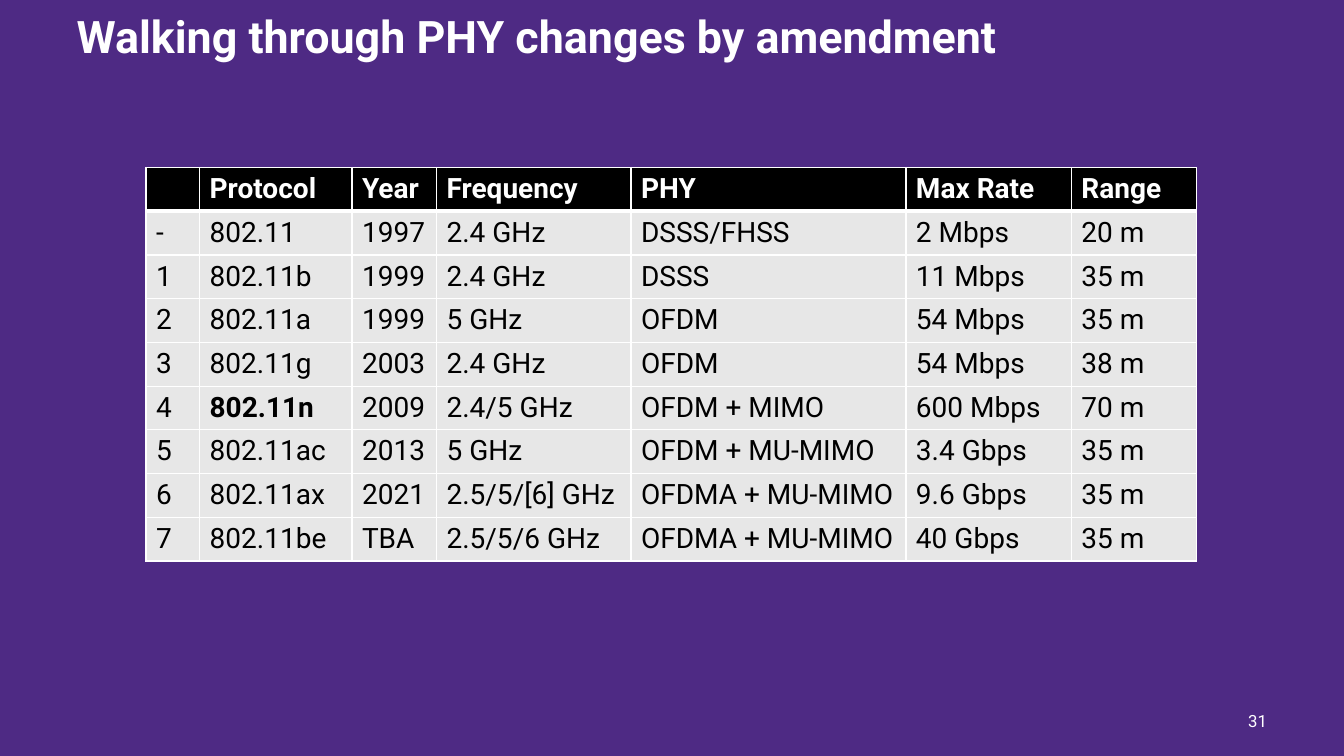
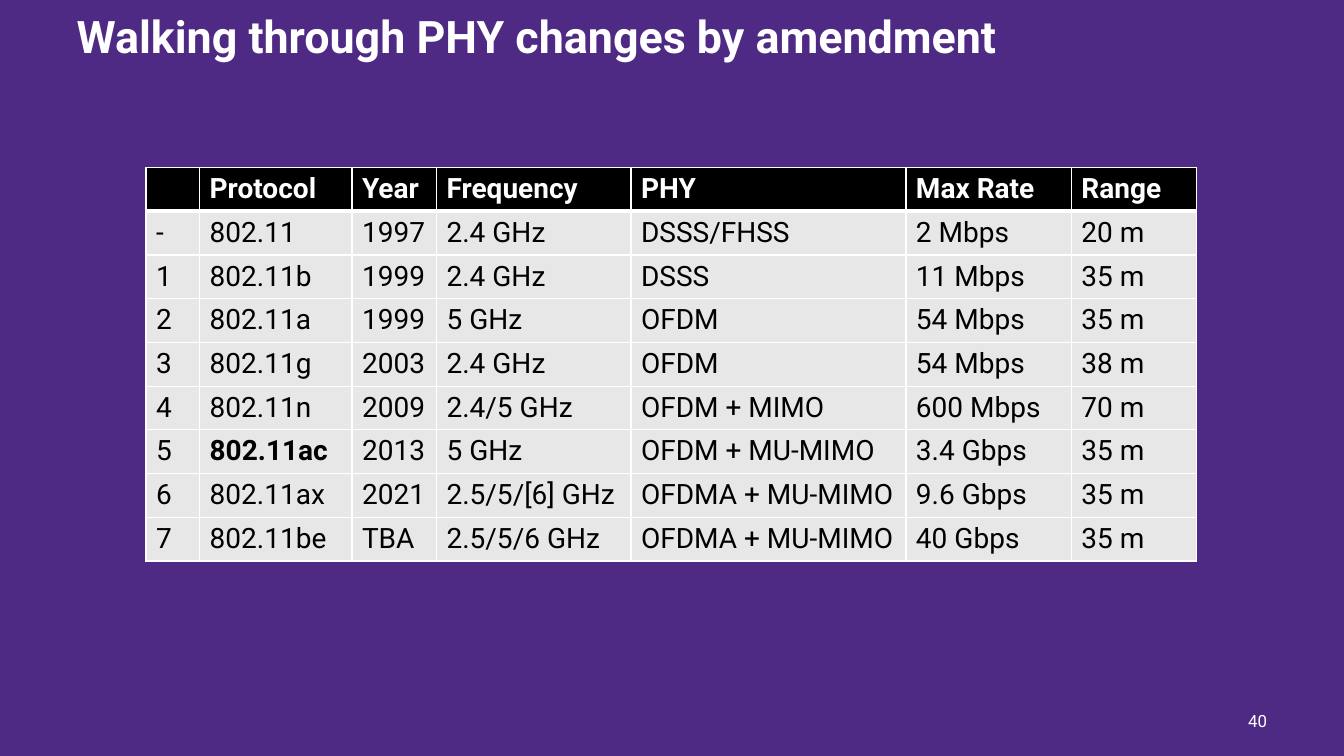
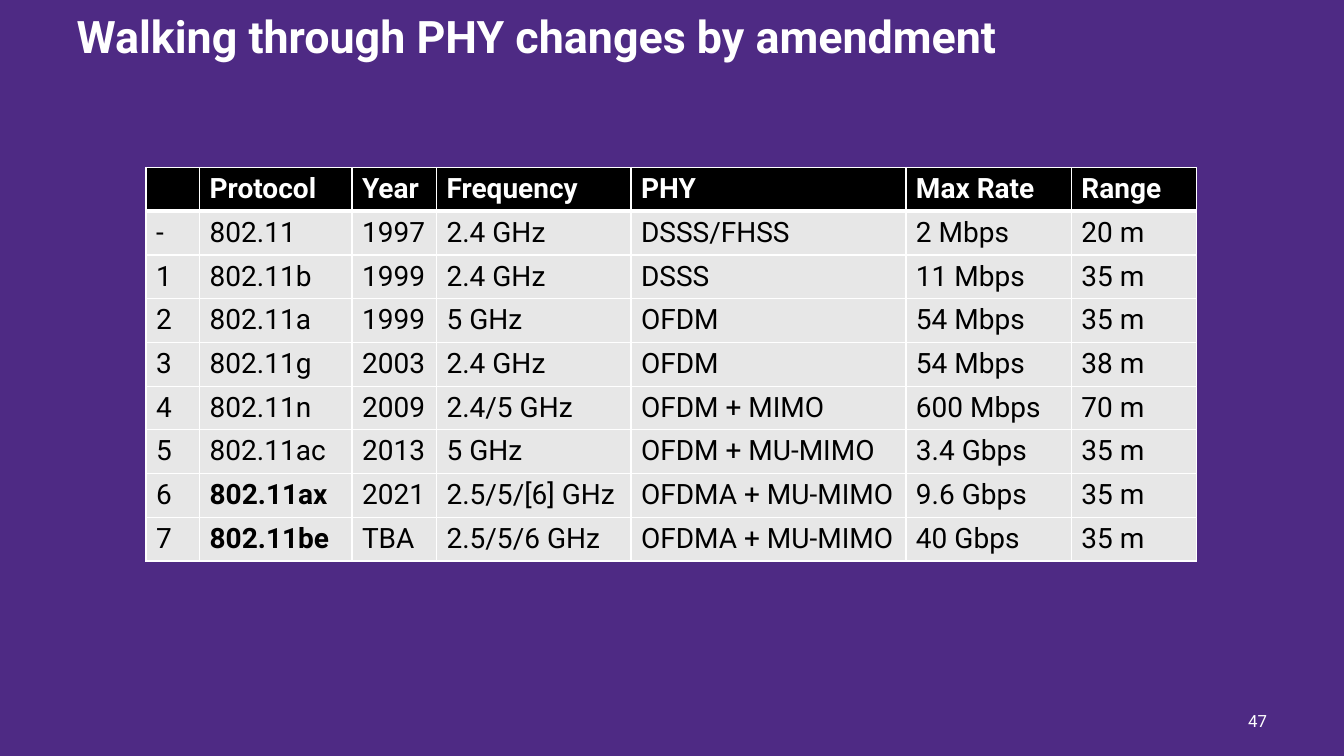
from lxml import etree
from pptx import Presentation
from pptx import util as u
from pptx.dml.color import RGBColor
from pptx.enum import text
from pptx.oxml import ns

PURPLE, WHITE, BLACK, GREY = "4E2A84", "FFFFFF", "000000", "E7E7E7"
FONT = "Roboto"

TITLE = "Walking through PHY changes by amendment"
COLUMN_WIDTHS = [1.35, 3.84, 2.13, 4.9, 6.93, 4.17, 3.15]
AMENDMENTS = [
    ["", "Protocol", "Year", "Frequency", "PHY", "Max Rate", "Range"],
    ["-", "802.11", "1997", "2.4 GHz", "DSSS/FHSS", "2 Mbps", "20 m"],
    ["1", "802.11b", "1999", "2.4 GHz", "DSSS", "11 Mbps", "35 m"],
    ["2", "802.11a", "1999", "5 GHz", "OFDM", "54 Mbps", "35 m"],
    ["3", "802.11g", "2003", "2.4 GHz", "OFDM", "54 Mbps", "38 m"],
    ["4", "802.11n", "2009", "2.4/5 GHz", "OFDM + MIMO", "600 Mbps", "70 m"],
    ["5", "802.11ac", "2013", "5 GHz", "OFDM + MU-MIMO", "3.4 Gbps", "35 m"],
    ["6", "802.11ax", "2021", "2.5/5/[6] GHz", "OFDMA + MU-MIMO", "9.6 Gbps", "35 m"],
    ["7", "802.11be", "TBA", "2.5/5/6 GHz", "OFDMA + MU-MIMO", "40 Gbps", "35 m"],
]
HIGHLIGHTS = {31: ["802.11n"], 40: ["802.11ac"], 47: ["802.11ax", "802.11be"]}


def color(value):
    return RGBColor.from_string(value)


def set_borders(cell, **widths):
    """Draw white cell borders; widths are points keyed by side L, R, T, B."""
    properties = cell._tc.get_or_add_tcPr()
    for side, width in widths.items():
        line = etree.SubElement(properties, ns.qn(f"a:ln{side}"), w=str(u.Pt(width)))
        fill = etree.SubElement(line, ns.qn("a:solidFill"))
        etree.SubElement(fill, ns.qn("a:srgbClr"), val=WHITE)


class Deck:
    def __init__(self):
        self.presentation = Presentation()
        self.presentation.slide_width = u.Cm(33.87)
        self.presentation.slide_height = u.Cm(19.05)
        self.slide = None

    def add_slide(self, title, number):
        self.slide = self.presentation.slides.add_slide(self.presentation.slide_layouts[6])
        background = self.slide.background.fill
        background.solid()
        background.fore_color.rgb = color(PURPLE)
        self.add_text(str(number), 29.64, 17.65, 2.54, 1.02, 12, align=text.PP_ALIGN.RIGHT)
        self.add_text(title, 1.68, 0.03, 30.48, 1.9, 32, bold=True, spacing=0.9)

    def add_run(self, paragraph, words, size, ink, bold):
        run = paragraph.add_run()
        run.text = words
        run.font.name = FONT
        run.font.size = u.Pt(size)
        run.font.bold = bold
        run.font.color.rgb = color(ink)

    def add_text(self, words, left, top, width, height, size,
                 bold=False, align=text.PP_ALIGN.LEFT, spacing=1.0):
        box = self.slide.shapes.add_textbox(u.Cm(left), u.Cm(top), u.Cm(width), u.Cm(height))
        frame = box.text_frame
        frame.word_wrap = True
        frame.vertical_anchor = text.MSO_ANCHOR.MIDDLE
        paragraph = frame.paragraphs[0]
        paragraph.alignment = align
        paragraph.line_spacing = spacing
        self.add_run(paragraph, words, size, WHITE, bold)

    def add_table(self, rows, widths, left, top, row_height, highlights):
        table = self.slide.shapes.add_table(
            len(rows), len(widths), u.Cm(left), u.Cm(top),
            u.Cm(sum(widths)), u.Cm(row_height * len(rows))).table
        table.horz_banding = False
        for column, width in zip(table.columns, widths):
            column.width = u.Cm(width)
        for r, row in enumerate(rows):
            table.rows[r].height = u.Cm(row_height)
            header = r == 0
            for c, words in enumerate(row):
                cell = table.cell(r, c)
                set_borders(cell, L=1, R=1, T=3 if r == 1 else 1, B=3 if header else 1)
                cell.fill.solid()
                cell.fill.fore_color.rgb = color(BLACK if header else GREY)
                if words:
                    self.add_run(cell.text_frame.paragraphs[0], words, 20,
                                 WHITE if header else BLACK, header or words in highlights)


def main():
    deck = Deck()
    for number, highlights in HIGHLIGHTS.items():
        deck.add_slide(TITLE, number)
        deck.add_table(AMENDMENTS, COLUMN_WIDTHS, 3.68, 4.22, 1.09, highlights)
    deck.presentation.save("out.pptx")


if __name__ == "__main__":
    main()
